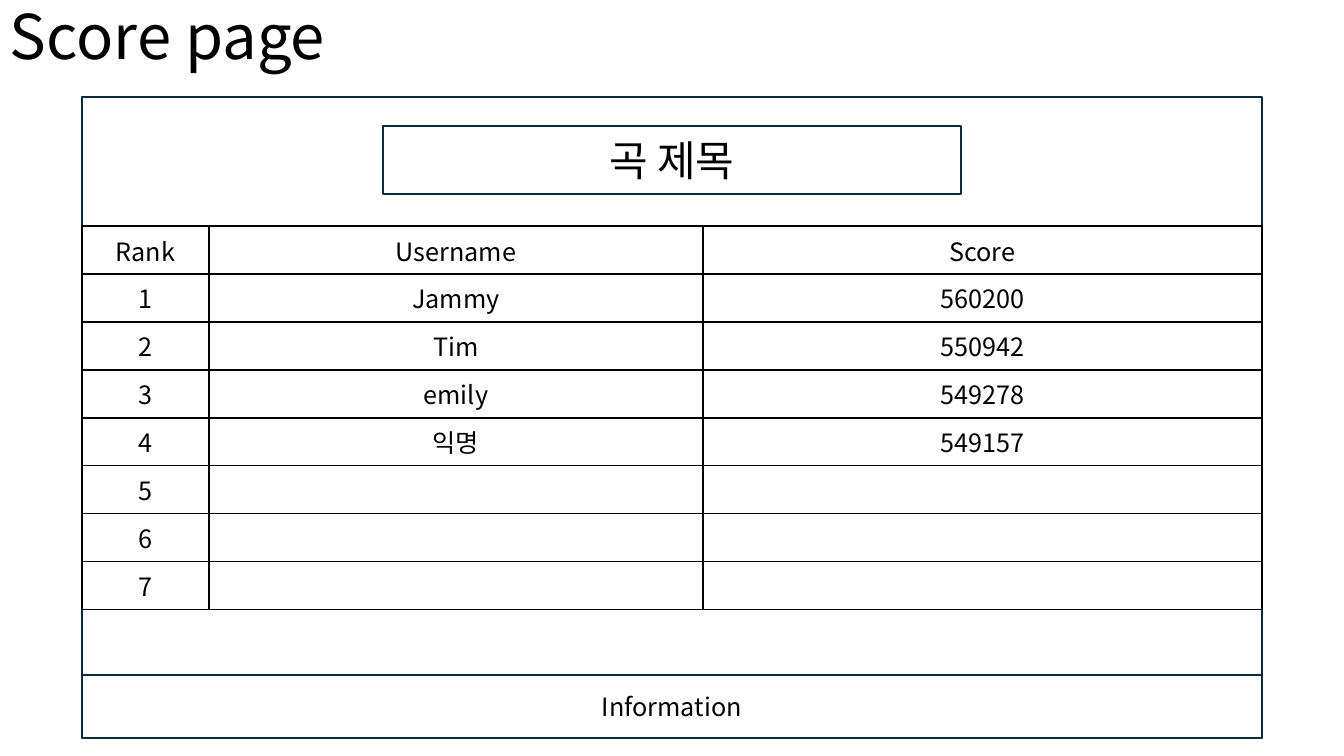
from lxml import etree
from pptx import Presentation
from pptx.dml.color import RGBColor
from pptx.enum.shapes import MSO_SHAPE
from pptx.enum.text import MSO_ANCHOR, PP_ALIGN
from pptx.oxml.ns import qn
from pptx.util import Pt

RECTANGLE = MSO_SHAPE.RECTANGLE
MIDDLE = MSO_ANCHOR.MIDDLE
LEFT, CENTER = PP_ALIGN.LEFT, PP_ALIGN.CENTER

SLIDE_W, SLIDE_H = 1344, 756
SCALE = 12192000 / SLIDE_W
FONT = "Noto Sans CJK KR"
BLACK = RGBColor(0x00, 0x00, 0x00)
NAVY = RGBColor(0x09, 0x2A, 0x39)

COLUMN_WIDTHS = [127, 494, 559]
ROW_HEIGHT = 48
SCORES = [
    ("Rank", "Username", "Score"),
    ("1", "Jammy", "560200"),
    ("2", "Tim", "550942"),
    ("3", "emily", "549278"),
    ("4", "익명", "549157"),
    ("5", "", ""),
    ("6", "", ""),
    ("7", "", ""),
]


def px(length):
    return round(length * SCALE)


def write(frame, text, size, align=CENTER):
    para = frame.paragraphs[0]
    para.alignment = align
    span = para.add_run()
    span.text = text
    span.font.size = Pt(size)
    span.font.name = FONT
    span.font.color.rgb = BLACK
    # Korean glyphs take the East Asian typeface
    east_asian = etree.SubElement(span.font._element, qn("a:ea"))
    east_asian.set("typeface", FONT)
    return para


def add_outline(page, left, top, width, height, text="", size=18):
    box = page.shapes.add_shape(RECTANGLE, px(left), px(top), px(width), px(height))
    box.shadow.inherit = False
    box.fill.background()
    box.line.color.rgb = NAVY
    box.line.width = Pt(1.5)
    if text:
        box.text_frame.vertical_anchor = MIDDLE
        write(box.text_frame, text, size)


def add_title(page, left, top, width, height):
    box = page.shapes.add_textbox(px(left), px(top), px(width), px(height))
    frame = box.text_frame
    frame.word_wrap = True
    frame.vertical_anchor = MIDDLE
    para = write(frame, "Score page", 44, LEFT)
    para.line_spacing = 0.9


def add_borders(cell):
    properties = cell._tc.get_or_add_tcPr()
    for side in ("a:lnL", "a:lnR", "a:lnT", "a:lnB"):
        line = etree.SubElement(properties, qn(side), w=str(Pt(1)))
        fill = etree.SubElement(line, qn("a:solidFill"))
        etree.SubElement(fill, qn("a:srgbClr"), val=str(BLACK))


def add_score_table(page, left, top):
    width, height = sum(COLUMN_WIDTHS), ROW_HEIGHT * len(SCORES)
    table = page.shapes.add_table(len(SCORES), len(COLUMN_WIDTHS), px(left),
                                  px(top), px(width), px(height)).table
    table.first_row = False
    table.horz_banding = False
    for column, column_width in zip(table.columns, COLUMN_WIDTHS):
        column.width = px(column_width)
    for row, texts in zip(table.rows, SCORES):
        row.height = px(ROW_HEIGHT)
        for cell, text in zip(row.cells, texts):
            add_borders(cell)
            cell.fill.background()
            cell.vertical_anchor = MIDDLE
            if text:
                write(cell.text_frame, text, 18)


def add_score_panel(page, left, top, width, height):
    # Frame and information bar along its bottom edge
    add_outline(page, left, top, width, height)
    bar_height = 63
    add_outline(page, left, top + height - bar_height, width, bar_height, "Information")
    # Ranking
    add_score_table(page, left, top + 129)
    # Song title, centred above the ranking
    song_width = 578
    add_outline(page, left + (width - song_width) // 2, top + 29, song_width, 68,
                "곡 제목", 30)


def main():
    deck = Presentation()
    deck.slide_width, deck.slide_height = px(SLIDE_W), px(SLIDE_H)
    page = deck.slides.add_slide(deck.slide_layouts[6])
    add_title(page, 0, 0, 1159, 79)
    add_score_panel(page, 82, 97, sum(COLUMN_WIDTHS), 641)
    deck.save("out.pptx")


if __name__ == "__main__":
    main()
